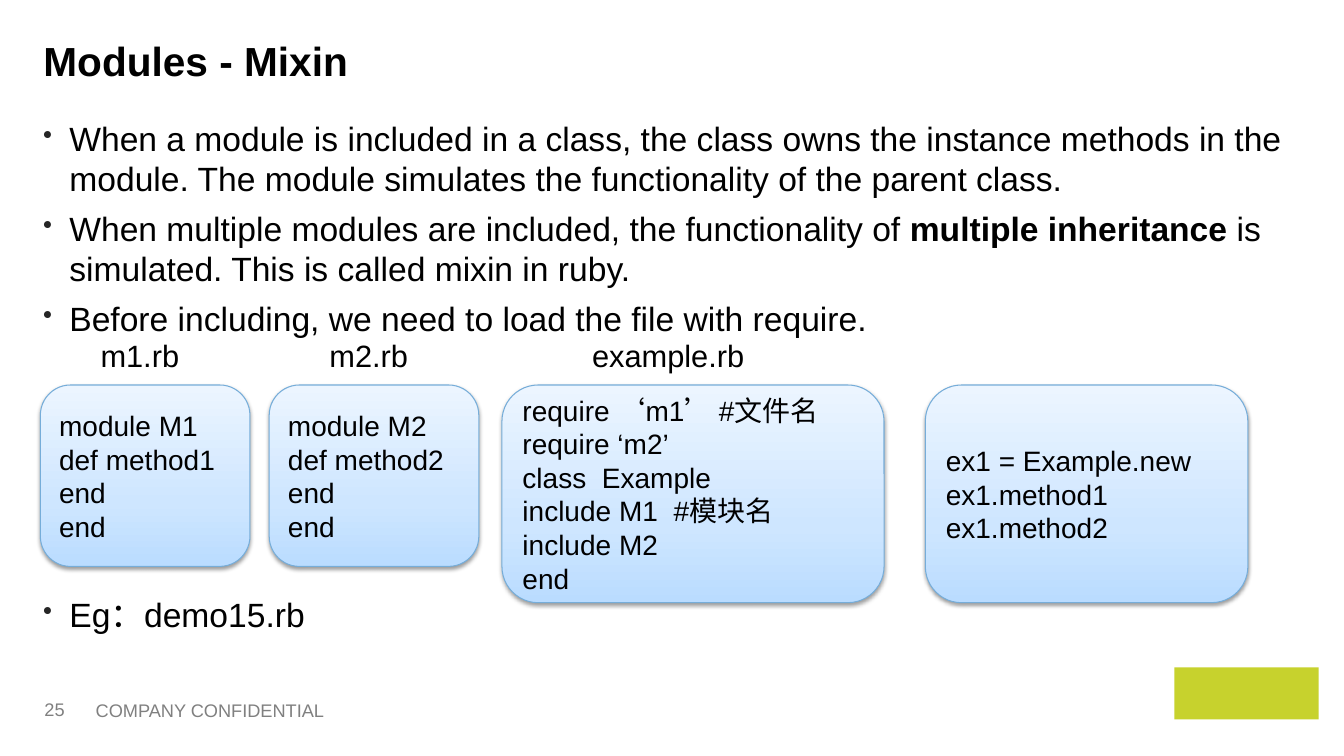
from dataclasses import dataclass

from lxml.etree import SubElement
from pptx import Presentation
from pptx.dml.color import RGBColor
from pptx.enum.shapes import MSO_SHAPE
from pptx.enum.text import MSO_ANCHOR, MSO_AUTO_SIZE, PP_ALIGN
from pptx.oxml import parse_xml
from pptx.oxml.ns import nsdecls, qn
from pptx.util import Inches, Pt


@dataclass(frozen=True)
class Theme:
    """Colours, font and type sizes of the slide."""
    font: str = "Arial"
    ink: str = "000000"
    muted: str = "808080"
    bullet: str = "262626"
    card_line: str = "76ADD9"
    mark: str = "C7D22D"
    card_stops: tuple = ((0, "BADCFF"), (35, "CEE6FF"), (100, "ECF5FF"))
    title: int = 29
    body: int = 24
    label: int = 22
    code: int = 20
    footer: int = 13


@dataclass(frozen=True)
class Box:
    """A place on the slide in percent of its width and height."""
    left: float
    top: float
    width: float
    height: float

    def place(self):
        """Return left, top, width and height as lengths."""
        return (int(SLIDE_WIDTH * self.left / 100), int(SLIDE_HEIGHT * self.top / 100),
                int(SLIDE_WIDTH * self.width / 100), int(SLIDE_HEIGHT * self.height / 100))


THEME = Theme()
SLIDE_WIDTH, SLIDE_HEIGHT = Inches(13.333), Inches(7.5)
LABEL_HEIGHT = 7.07
CARD_TOP = 50.93

POINTS = [
    ["When a module is included in a class, the class owns the instance methods in the module. "
     "The module simulates the functionality of the parent class."],
    ["When multiple modules are included, the functionality of ", "multiple inheritance ",
     "is simulated. This is called mixin in ruby."],
    ["Before including, we need to load the file with require."],
]
CARDS = [
    (Box(3, CARD_TOP, 15.6, 24), "m1.rb", 0.24, "module M1\ndef method1\nend\nend"),
    (Box(20.03, CARD_TOP, 15.6, 24), "m2.rb", 0.24, "module M2\ndef method2\nend\nend"),
    (Box(37.35, CARD_TOP, 28.43, 28.8), "example.rb", 0.21,
     "require ‘m1’ #文件名\nrequire ‘m2’\nclass  Example\ninclude M1  #模块名\ninclude M2\nend"),
    (Box(68.85, CARD_TOP, 24, 28.8), None, 0, "ex1 = Example.new\nex1.method1\nex1.method2"),
]


def format_text(frame, size, color=THEME.ink, bold=False):
    """Give every run of a frame the same look, aligned left."""
    for para in frame.paragraphs:
        para.alignment = PP_ALIGN.LEFT
        for span in para.runs:
            span.font.name = THEME.font
            span.font.size = Pt(size)
            span.font.bold = bold
            span.font.color.rgb = RGBColor.from_string(color)


def add_text(page, box, text, size, color=THEME.ink):
    """Add a wrapping text box and return its frame."""
    frame = page.shapes.add_textbox(*box.place()).text_frame
    frame.word_wrap = True
    frame.text = text
    format_text(frame, size, color)
    return frame


def add_title(page, box, text):
    """Move and format the title placeholder."""
    title = page.shapes.title
    title.left, title.top, title.width, title.height = box.place()
    frame = title.text_frame
    frame.text = text
    frame.auto_size = MSO_AUTO_SIZE.NONE
    frame.vertical_anchor = MSO_ANCHOR.TOP
    format_text(frame, THEME.title, bold=True)


def add_bullet(para):
    """Give a paragraph a hanging round bullet."""
    properties = para._p.get_or_add_pPr()
    properties.set("marL", str(Inches(0.26)))
    properties.set("indent", str(-Inches(0.26)))
    color = SubElement(properties, qn("a:buClr"))
    SubElement(color, qn("a:srgbClr"), val=THEME.bullet)
    SubElement(properties, qn("a:buSzPct"), val="80000")
    SubElement(properties, qn("a:buChar"), char="•")


def add_bullets(page, box, points):
    """Add a bullet list; the second span of a point is bold."""
    frame = add_text(page, box, "\n".join("" for _ in points), THEME.body)
    for index, (para, spans) in enumerate(zip(frame.paragraphs, points)):
        add_bullet(para)
        para.space_before = Pt(5.8 if index else 0)
        para.space_after = Pt(0.8)
        for text in spans:
            para.add_run().text = text
    format_text(frame, THEME.body)
    for para in frame.paragraphs:
        for span in para.runs[1:2]:
            span.font.bold = True


def add_card(page, box, label, label_share, code):
    """Add a shaded code card with its file name above it."""
    card = page.shapes.add_shape(MSO_SHAPE.ROUNDED_RECTANGLE, *box.place())
    properties = card._element.spPr
    stops = "".join(f'<a:gs pos="{share * 1000}"><a:srgbClr val="{color}"/></a:gs>'
                    for share, color in THEME.card_stops)
    properties.append(parse_xml(
        f'<a:gradFill {nsdecls("a")} rotWithShape="1"><a:gsLst>{stops}</a:gsLst>'
        '<a:lin ang="16200000" scaled="0"/></a:gradFill>'))
    card.line.color.rgb = RGBColor.from_string(THEME.card_line)
    card.line.width = Pt(0.75)
    properties.append(parse_xml(
        f'<a:effectLst {nsdecls("a")}><a:outerShdw blurRad="{Pt(3.1)}" dist="{Pt(1.6)}" '
        'dir="5400000" rotWithShape="0"><a:srgbClr val="000000"><a:alpha val="38000"/>'
        '</a:srgbClr></a:outerShdw></a:effectLst>'))
    frame = card.text_frame
    frame.word_wrap = True
    frame.vertical_anchor = MSO_ANCHOR.MIDDLE
    frame.text = code
    format_text(frame, THEME.code)
    if label:
        inset = box.width * label_share
        add_text(page, Box(box.left + inset, box.top - LABEL_HEIGHT,
                           box.width - 2 * inset, LABEL_HEIGHT), label, THEME.label)


def add_footer(page, box):
    """Add the page number, the notice and a plain corner mark."""
    number = add_text(page, Box(box.left, box.top, 4.88, 4), "25", THEME.footer, THEME.muted)
    number.margin_left = number.margin_right = Inches(0.07)
    number.margin_top = number.margin_bottom = Inches(0.04)
    number.vertical_anchor = MSO_ANCHOR.MIDDLE
    add_text(page, Box(box.left + 3.6, box.top, 29.85, box.height),
             "COMPANY CONFIDENTIAL", THEME.footer, THEME.muted)
    mark = page.shapes.add_shape(
        MSO_SHAPE.RECTANGLE, *Box(box.left + box.width - 10.73, box.top - 3.6, 10.73, 6.9).place())
    mark.shadow.inherit = False
    mark.fill.solid()
    mark.fill.fore_color.rgb = RGBColor.from_string(THEME.mark)
    mark.line.fill.background()


def main():
    """Build the slide and save it."""
    deck = Presentation()
    deck.slide_width, deck.slide_height = SLIDE_WIDTH, SLIDE_HEIGHT
    page = deck.slides.add_slide(deck.slide_layouts[5])
    add_footer(page, Box(2.78, 91.87, 95.33, 4.53))
    add_title(page, Box(2.48, 4.13, 95.63, 9.6), "Modules - Mixin")
    add_bullets(page, Box(2.48, 14.93, 95.63, 30.67), POINTS)
    add_bullets(page, Box(2.48, 77.87, 34, 7.07), [["Eg：demo15.rb"]])
    for card in CARDS:
        add_card(page, *card)
    deck.save("out.pptx")


if __name__ == "__main__":
    main()
